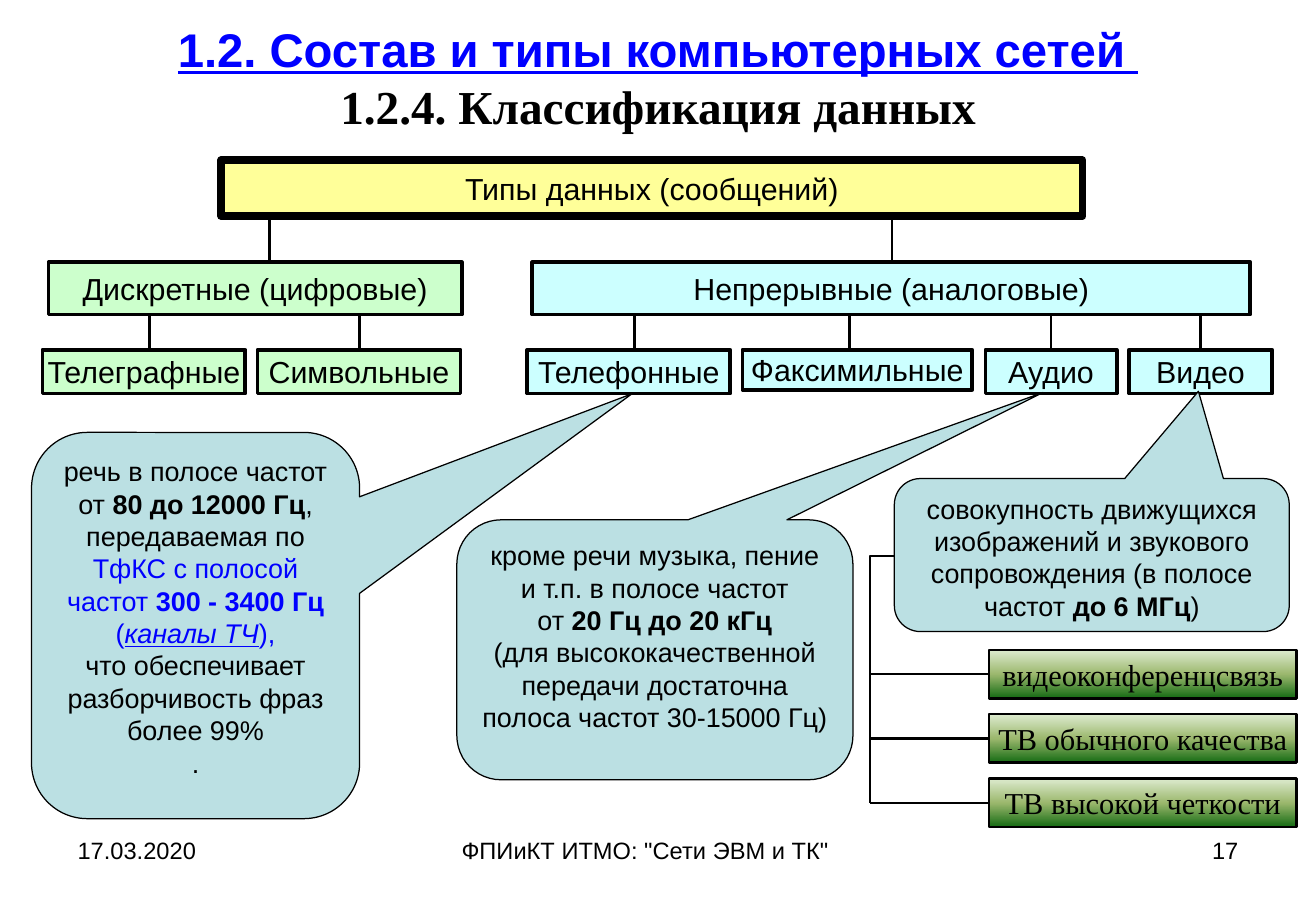
import pptx
import pptx.dml.color
import pptx.enum.shapes
import pptx.enum.text
import pptx.oxml
import pptx.oxml.ns
import pptx.util
import lxml.etree

Inches = pptx.util.Inches
SHAPE = pptx.enum.shapes.MSO_SHAPE
CONNECTOR = pptx.enum.shapes.MSO_CONNECTOR
ALIGN = pptx.enum.text.PP_ALIGN
ANCHOR = pptx.enum.text.MSO_ANCHOR
qn = pptx.oxml.ns.qn

BLACK, BLUE = "000000", "0000FF"
YELLOW, GREEN, CYAN, TEAL = "FFFF99", "CCFFCC", "CCFFFF", "BBE0E3"
GRADIENT = [(0, "DDEBCF"), (50, "9CB86E"), (100, "156B13")]
BOLD = {"bold": True}
LINK = {"color": BLUE}


def rgb(value):
    return pptx.dml.color.RGBColor.from_string(value)


def format_font(font, values):
    for name, value in values.items():
        if name == "color":
            font.color.rgb = rgb(value)
        elif name == "size":
            font.size = pptx.util.Pt(value)
        else:
            setattr(font, name, value)


def write(tf, paragraphs, base, align=ALIGN.CENTER, anchor=ANCHOR.TOP, inset=(0.1, 0.05)):
    margins = dict(zip(("margin_left", "margin_top", "margin_right", "margin_bottom"),
                       (Inches(v) for v in inset * 2)))
    for name, value in {"word_wrap": True, "vertical_anchor": anchor, **margins}.items():
        setattr(tf, name, value)
    for i, runs in enumerate(paragraphs):
        p = tf.paragraphs[0] if i == 0 else tf.add_paragraph()
        p.alignment = align
        for text, values in runs:
            r = p.add_run()
            r.text = text
            format_font(r.font, {"name": "Arial", "color": BLACK, **base, **values})


def add_box(s, kind, box, fill, width):
    sp = s.shapes.add_shape(kind, *map(Inches, box))
    sp.shadow.inherit = False
    if fill:
        sp.fill.solid()
        sp.fill.fore_color.rgb = rgb(fill)
    sp.line.color.rgb = rgb(BLACK)
    sp.line.width = pptx.util.Pt(width)
    return sp


def add_line(s, x1, y1, x2, y2, width, kind=CONNECTOR.STRAIGHT):
    line = s.shapes.add_connector(kind, *map(Inches, (x1, y1, x2, y2)))
    line.line.color.rgb = rgb(BLACK)
    line.line.width = pptx.util.Pt(width)
    lxml.etree.SubElement(line._element.spPr, qn("a:effectLst"))
    return line


def add_title(s, box):
    title = s.shapes.title
    for name, value in zip(("left", "top", "width", "height"), box):
        setattr(title, name, Inches(value))
    write(title.text_frame, [[("1.2. Состав и типы компьютерных сетей ",
                               {"color": BLUE, "underline": True})]],
          {"size": 28, "bold": True}, anchor=ANCHOR.MIDDLE)
    p = title.text_frame.paragraphs[0]
    p.add_line_break()
    r = p.add_run()
    r.text = "1.2.4. Классификация данных"
    format_font(r.font, {"name": "Times New Roman", "size": 28, "bold": True,
                         "underline": False, "color": BLACK})


def add_node(s, text, box, fill, width=2.25, inset=(0.1, 0.05)):
    sp = add_box(s, SHAPE.RECTANGLE, box, fill, width)
    write(sp.text_frame, [[(text, {})]], {"size": 18}, anchor=ANCHOR.MIDDLE, inset=inset)


def add_tree(s, box):
    x, y, w, h = box
    branches = [
        ("Дискретные (цифровые)", GREEN, 0.05, 3.4, 1.87,
         [("Телеграфные", 0, 1.67, 0.36, 0.88), ("Символьные", 1.77, 1.67, 0.36, 2.61)]),
        ("Непрерывные (аналоговые)", CYAN, 4.03, 5.91, 6.99,
         [("Телефонные", 3.99, 1.67, 0.36, 4.87), ("Факсимильные", 5.76, 1.89, 0.33, 6.64),
          ("Аудио", 7.76, 1.08, 0.36, 8.3), ("Видео", 8.94, 1.18, 0.36, 9.53)]),
    ]
    branch_y, leaf_y = y + 0.84, y + h - 0.36
    for name, fill, left, width, stem, leaves in branches:
        add_line(s, x + stem, y + 0.44, x + stem, branch_y, 1.5)
        for leaf, leaf_left, leaf_width, leaf_height, leaf_stem in leaves:
            add_line(s, x + leaf_stem, branch_y + 0.43, x + leaf_stem, leaf_y, 1.5)
            add_node(s, leaf, (x + leaf_left, leaf_y, leaf_width, leaf_height),
                     fill, inset=(0.02, 0.01))
        add_node(s, name, (x + left, branch_y, width, 0.43), fill)
    add_node(s, "Типы данных (сообщений)", (x + 1.47, y, 7.09, 0.46), YELLOW, 4.5)


def add_callout(s, box, tip, paragraphs):
    sp = add_box(s, SHAPE.ROUNDED_RECTANGULAR_CALLOUT, box, TEAL, 0.75)
    for i, value in enumerate((*tip, 0.17)):
        sp.adjustments[i] = value
    write(sp.text_frame, paragraphs, {"size": 16})


def fill_gradient(sp):
    stops = "".join(f'<a:gs pos="{pos * 1000}"><a:srgbClr val="{color}"/></a:gs>'
                    for pos, color in GRADIENT)
    fill = pptx.oxml.parse_xml(
        f'<a:gradFill {pptx.oxml.ns.nsdecls("a")} rotWithShape="1"><a:gsLst>{stops}</a:gsLst>'
        '<a:lin ang="5400000" scaled="1"/></a:gradFill>')
    sp._element.spPr.find(qn("a:prstGeom")).addnext(fill)


def add_video_kinds(s, box):
    x, y, w, h = box
    kinds = ["видеоконференцсвязь", "ТВ обычного качества", "ТВ высокой четкости"]
    width, height, pitch = 2.53, 0.4, 0.53
    left = x + w - width
    first = y + h - height - pitch * (len(kinds) - 1)
    centers = [first + pitch * i + height / 2 for i in range(len(kinds))]
    elbow = add_line(s, x + 0.2, y, left, centers[0], 1.25, CONNECTOR.ELBOW)
    guides = elbow._element.spPr.find(qn("a:prstGeom")).get_or_add_avLst()
    guide = lxml.etree.SubElement(guides, qn("a:gd"))
    guide.set("name", "adj1")
    guide.set("fmla", "val -25400")
    add_line(s, x, centers[0], x, centers[-1], 1.25)
    for center in centers[1:]:
        add_line(s, left, center, x, center, 1.25)
    for kind, center in zip(kinds, centers):
        sp = add_box(s, SHAPE.RECTANGLE, (left, center - height / 2, width, height), None, 1.5)
        fill_gradient(sp)
        write(sp.text_frame, [[(kind, {})]], {"size": 18, "name": "Times New Roman"},
              anchor=ANCHOR.MIDDLE, inset=(0, 0.05))


def add_footer(s, box):
    x, y, w, h = box
    for text, left, width, align in [
            ("17.03.2020", 0, 2.53, ALIGN.LEFT),
            ('ФПИиКТ ИТМО: "Сети ЭВМ и ТК"', 3.16, 3.43, ALIGN.LEFT),
            ("17", w - 2.53, 2.53, ALIGN.RIGHT)]:
        sp = s.shapes.add_textbox(*map(Inches, (x + left, y, width, h)))
        write(sp.text_frame, [[(text, {})]], {"size": 14}, align)


def main():
    prs = pptx.Presentation()
    prs.slide_width, prs.slide_height = Inches(10.83), Inches(7.5)
    s = prs.slides.add_slide(prs.slide_layouts[5])
    add_title(s, (0.54, 0.01, 9.75, 1.25))
    add_tree(s, (0.35, 1.32, 10.12, 1.92))
    add_callout(s, (0.26, 3.56, 2.7, 3.18), (1.33, -0.6), [
        [("речь в полосе частот от ", {}), ("80 до 12000 Гц", BOLD), (", передаваемая по ", {}),
         ("ТфКС с полосой частот ", LINK), ("300 - 3400 Гц ", {**LINK, **BOLD}), ("(", LINK),
         ("каналы ТЧ", {**LINK, "italic": True, "underline": True}), ("),", LINK)],
        [("что обеспечивает разборчивость фраз более 99%", {})],
        [(".", {})]])
    add_callout(s, (3.76, 4.28, 3.26, 2.14), (0.98, -0.99), [
        [("кроме речи музыка, пение и т.п. в полосе частот", {})],
        [("от ", {}), ("20 Гц до 20 кГц", BOLD)],
        [("(для высококачественной передачи достаточна полоса частот 30-15000 Гц)", {})]])
    add_callout(s, (7.36, 3.94, 3.25, 1.26), (0.27, -1.07), [
        [("совокупность движущихся изображений и звукового сопровождения (в полосе частот ", {}),
         ("до 6 МГц", BOLD), (")", {})]])
    add_video_kinds(s, (7.16, 4.58, 3.51, 2.23))
    add_footer(s, (0.54, 6.83, 9.75, 0.52))
    prs.save("out.pptx")


if __name__ == "__main__":
    main()
